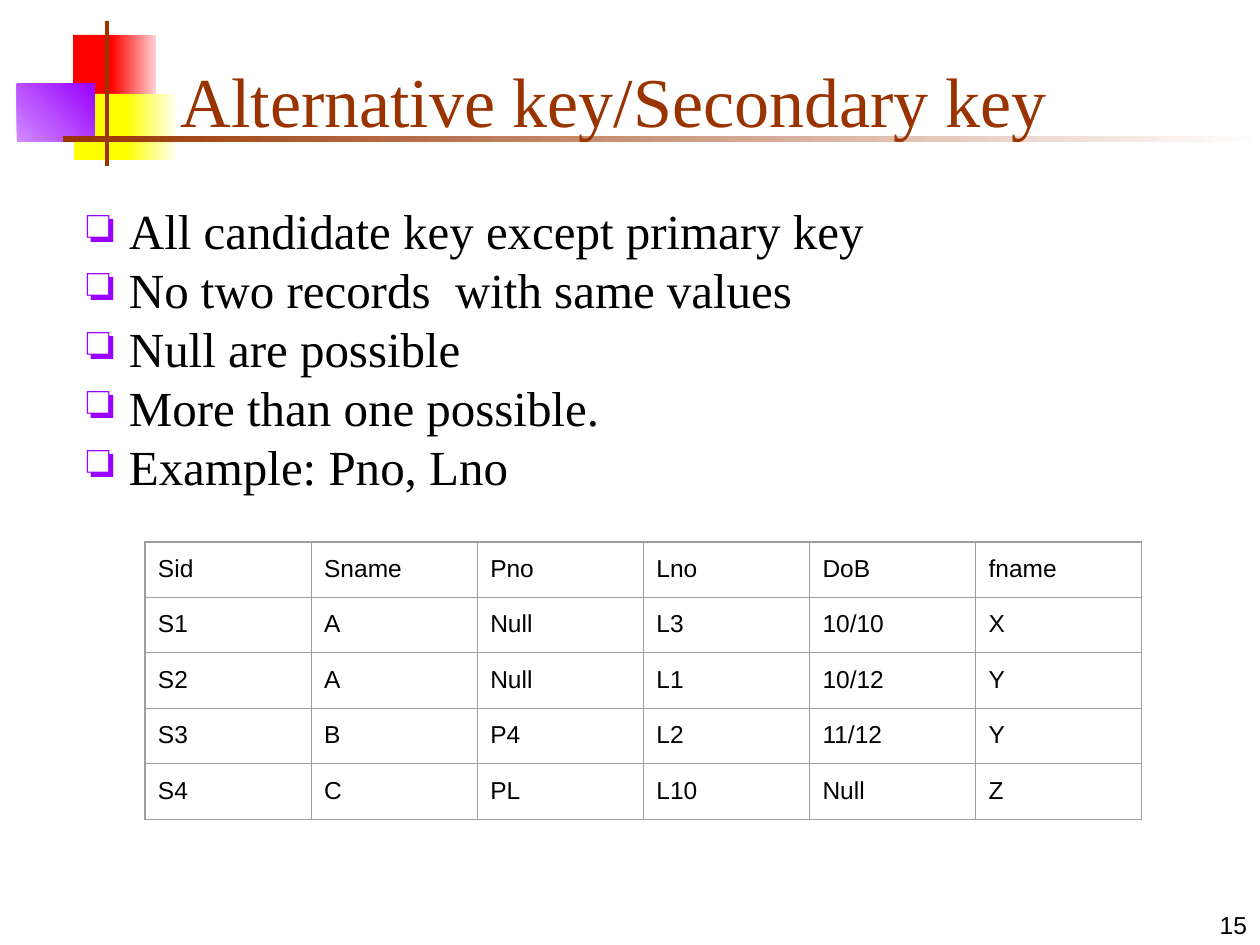
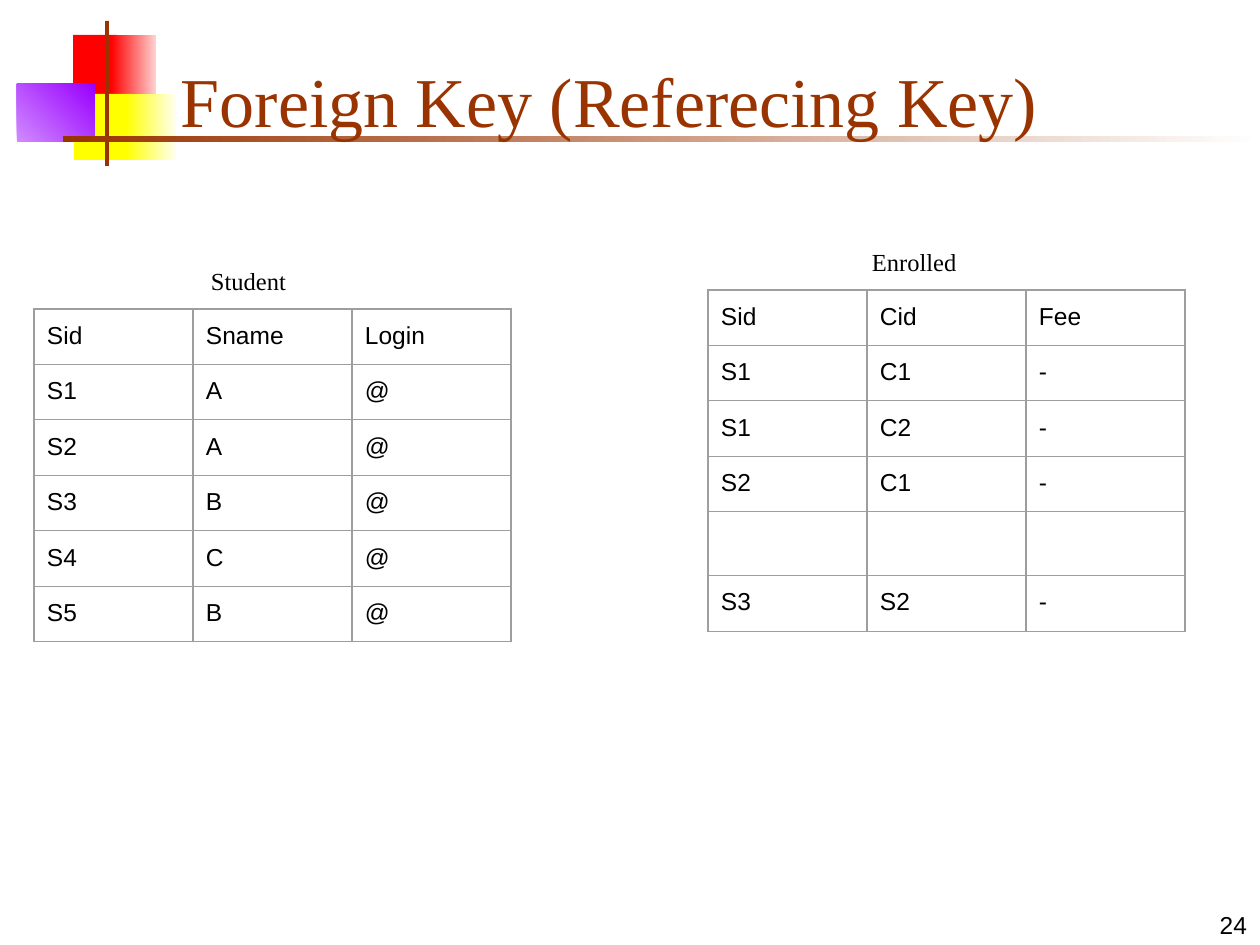
from lxml.etree import SubElement
from pptx import Presentation
from pptx.dml.color import RGBColor
from pptx.enum.shapes import MSO_SHAPE
from pptx.enum.text import MSO_ANCHOR, PP_ALIGN
from pptx.oxml.ns import qn
from pptx.util import Pt

EMU_PER_PX = 914400 / 126
SERIF, SANS = "Times New Roman", "Arial"
COLORS = {
    "text": "000000",
    "brown": "993300",
    "white": "FFFFFF",
    "red": "FF0000",
    "pale_red": "FFD1D1",
    "yellow": "FFFF00",
    "pale_yellow": "FFFFF0",
    "purple": "9900FF",
    "pale_purple": "D18BFF",
    "grid": "9E9E9E",
}
# Master decoration: box, colours (one solid, two gradient), gradient angle
DECORATION = [
    ((73, 35, 44, 66), ["red"], 0),
    ((111, 35, 45, 66), ["red", "pale_red"], 0),
    ((74, 94, 58, 66), ["yellow"], 0),
    ((126, 94, 50, 66), ["yellow", "pale_yellow"], 0),
    ((17, 84, 78, 58), ["pale_purple", "purple"], 45),
    ((105, 21, 4, 145), ["brown"], 0),
    ((63, 136, 1197, 6), ["brown", "white"], 0),
]
TITLE_BOX = (168, 32, 1074, 116)
NUMBER_BOX = (998, 882, 262, 63)


def px(length):
    return round(length * EMU_PER_PX)


def emu(box):
    return [px(length) for length in box]


def rgb(color):
    return RGBColor.from_string(COLORS[color])


def style(paragraph, size, font, color="text"):
    for run in paragraph.runs:
        run.font.size = Pt(size)
        run.font.name = font
        run.font.color.rgb = rgb(color)


def set_insets(holder, side, top):
    holder.margin_left = holder.margin_right = px(side)
    holder.margin_top = holder.margin_bottom = px(top)


def add_text(slide, box, lines, size, font, color="text",
             anchor=MSO_ANCHOR.TOP, inset=6):
    frame = slide.shapes.add_textbox(*emu(box)).text_frame
    frame.word_wrap = True
    frame.vertical_anchor = anchor
    set_insets(frame, 13, inset)
    frame.text = "\n".join(lines)
    for paragraph in frame.paragraphs:
        style(paragraph, size, font, color)
    return frame


def add_bar(slide, box, colors, angle):
    bar = slide.shapes.add_shape(MSO_SHAPE.RECTANGLE, *emu(box))
    bar.shadow.inherit = False
    bar.line.fill.background()
    if len(colors) == 1:
        bar.fill.solid()
        bar.fill.fore_color.rgb = rgb(colors[0])
    else:
        bar.fill.gradient()
        bar.fill.gradient_angle = angle
        for stop, color in zip(bar.fill.gradient_stops, colors):
            stop.color.rgb = rgb(color)


def add_base_slide(deck, title, number):
    """Slide with the shared decoration, title and page number."""
    slide = deck.slides.add_slide(deck.slide_layouts[6])
    for box, colors, angle in DECORATION:
        add_bar(slide, box, colors, angle)
    add_text(slide, TITLE_BOX, [title], 40, SERIF, "brown", MSO_ANCHOR.BOTTOM)
    page = add_text(slide, NUMBER_BOX, [str(number)], 14, SANS,
                    anchor=MSO_ANCHOR.BOTTOM)
    page.paragraphs[0].alignment = PP_ALIGN.RIGHT
    return slide


def add_bullets(slide, box, points):
    frame = add_text(slide, box, points, 28, SERIF, inset=12)
    for paragraph in frame.paragraphs:
        properties = paragraph._p.get_or_add_pPr()
        properties.set("marL", str(px(63)))
        properties.set("indent", str(px(-42)))
        bullet_color = SubElement(properties, qn("a:buClr"))
        SubElement(bullet_color, qn("a:srgbClr"), val=COLORS["purple"])
        SubElement(properties, qn("a:buChar"), char="❏")


def add_cell_borders(cell):
    properties = cell._tc.get_or_add_tcPr()
    for side in ("lnL", "lnR", "lnT", "lnB"):
        border = SubElement(properties, qn(f"a:{side}"), w=str(Pt(0.75)))
        fill = SubElement(border, qn("a:solidFill"))
        SubElement(fill, qn("a:srgbClr"), val=COLORS["grid"])


def add_records(slide, box, records):
    """Plain bordered table with equal columns and rows filling the box."""
    grid = slide.shapes.add_table(len(records), len(records[0]),
                                  *emu(box)).table
    grid.first_row = grid.horz_banding = False
    for row, record in zip(grid.rows, records):
        for cell, value in zip(row.cells, record):
            cell.text = value
            set_insets(cell, 13, 13)
            style(cell.text_frame.paragraphs[0], 14, SANS)
            add_cell_borders(cell)
            cell.fill.background()


def add_captioned_records(slide, box, caption, caption_offset, records):
    left, top = box[:2]
    add_records(slide, box, records)
    add_text(slide, (left + caption_offset, top - 56, 154, 55), [caption],
             14, SERIF, inset=13)


def alternative_key_slide(deck):
    slide = add_base_slide(deck, "Alternative key/Secondary key", 15)
    add_bullets(slide, (53, 189, 1182, 656), [
        "All candidate key except primary key",
        "No two records  with same values",
        "Null are possible",
        "More than one possible.",
        "Example: Pno, Lno",
    ])
    add_records(slide, (145, 542, 997, 264), [
        ("Sid", "Sname", "Pno", "Lno", "DoB", "fname"),
        ("S1", "A", "Null", "L3", "10/10", "X"),
        ("S2", "A", "Null", "L1", "10/12", "Y"),
        ("S3", "B", "P4", "L2", "11/12", "Y"),
        ("S4", "C", "PL", "L10", "Null", "Z"),
    ])


def foreign_key_slide(deck):
    slide = add_base_slide(deck, "Foreign Key (Referecing Key)", 24)
    add_captioned_records(slide, (34, 309, 477, 327), "Student", 164, [
        ("Sid", "Sname", "Login"),
        ("S1", "A", "@"),
        ("S2", "A", "@"),
        ("S3", "B", "@"),
        ("S4", "C", "@"),
        ("S5", "B", "@"),
    ])
    add_captioned_records(slide, (708, 290, 477, 327), "Enrolled", 151, [
        ("Sid", "Cid", "Fee"),
        ("S1", "C1", "-"),
        ("S1", "C2", "-"),
        ("S2", "C1", "-"),
        ("", "", ""),
        ("S3", "S2", "-"),
    ])


def main():
    deck = Presentation()
    deck.slide_width, deck.slide_height = px(1260), px(945)
    alternative_key_slide(deck)
    foreign_key_slide(deck)
    deck.save("out.pptx")


if __name__ == "__main__":
    main()
